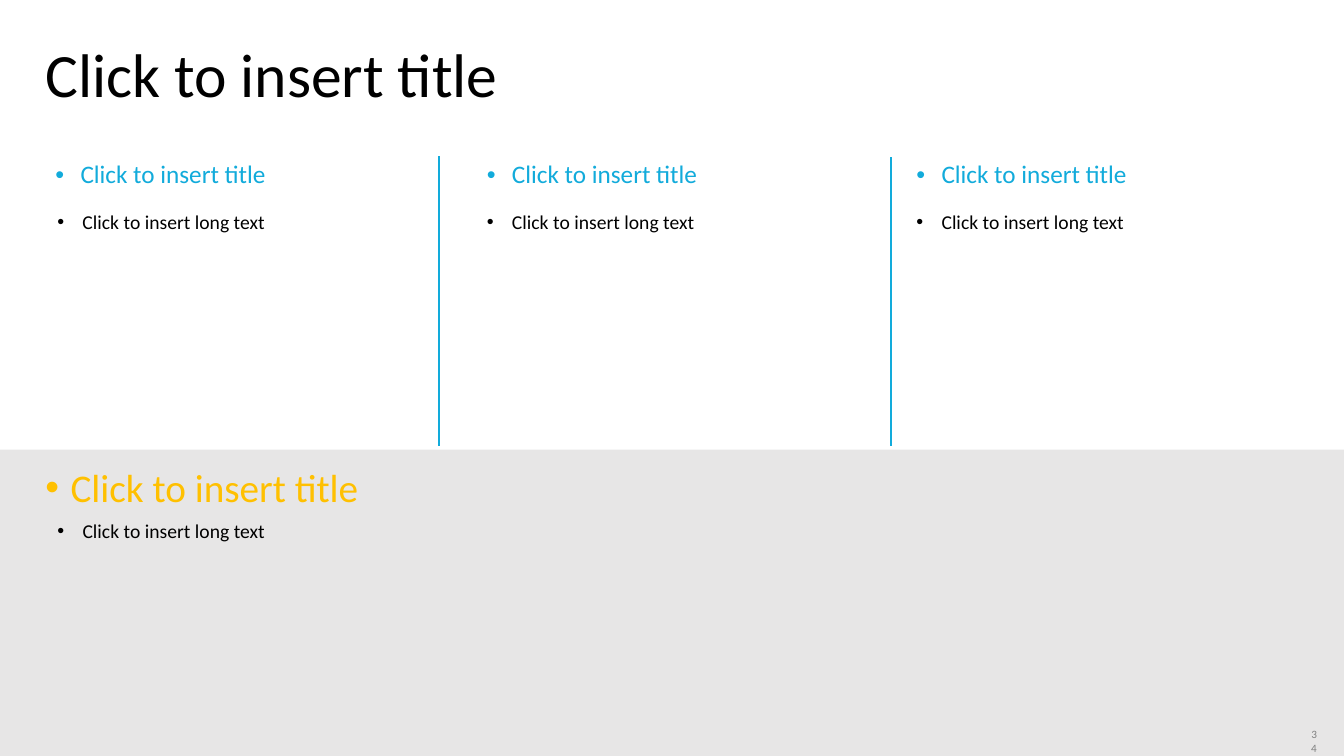
from dataclasses import dataclass

from lxml.etree import SubElement
from pptx import Presentation
from pptx.dml.color import RGBColor
from pptx.enum.shapes import MSO_CONNECTOR, MSO_SHAPE
from pptx.enum.text import MSO_ANCHOR, MSO_AUTO_SIZE, PP_ALIGN
from pptx.oxml.ns import qn
from pptx.slide import Slide
from pptx.text.text import TextFrame
from pptx.util import Inches, Pt

COLORS = {
    "black": "000000",
    "cyan": "12ABDB",
    "amber": "FFC000",
    "band": "E7E6E6",
    "number": "808080",
}
FONT = "Calibri"
HEADING = "Click to insert title"
BODY = "Click to insert long text"


@dataclass
class Bullet:
    text: str
    left: float
    top: float
    width: float
    height: float
    size: int
    color: str
    line_spacing: float | Pt
    flush: bool = False


@dataclass
class Divider:
    x: float
    top: float
    bottom: float = 4.42


def heading(left: float, width: float) -> Bullet:
    return Bullet(HEADING, left, 1.56, width, 0.45, 18, "cyan", 0.9)


def body(left: float, top: float, width: float, height: float) -> Bullet:
    return Bullet(BODY, left, top, width, height, 14, "black", Pt(16))


BULLETS = [
    heading(0.45, 3.92),
    heading(4.73, 3.9),
    heading(8.99, 3.9),
    *(body(left, 2.04, 3.9, 2.18) for left in (0.47, 4.73, 8.99)),
    Bullet(HEADING, 0.45, 4.63, 12.44, 0.45, 28, "amber", 0.9, flush=True),
    body(0.47, 5.11, 12.42, 1.97),
]
DIVIDERS = [Divider(4.35, 1.55), Divider(8.84, 1.56)]


def rgb(color: str) -> RGBColor:
    return RGBColor.from_string(COLORS[color])


def write(frame: TextFrame, text: str, size: int, color: str) -> None:
    frame.word_wrap = True
    frame.auto_size = MSO_AUTO_SIZE.NONE
    frame.text = text
    font = frame.paragraphs[0].runs[0].font
    font.name = FONT
    font.size = Pt(size)
    font.color.rgb = rgb(color)


def clear_margins(frame: TextFrame) -> None:
    frame.margin_left = frame.margin_right = 0
    frame.margin_top = frame.margin_bottom = 0


def add_band(slide: Slide) -> None:
    band = slide.shapes.add_shape(
        MSO_SHAPE.RECTANGLE, 0, Inches(4.46), Inches(13.33), Inches(3.04)
    )
    band.shadow.inherit = False
    band.fill.solid()
    band.fill.fore_color.rgb = rgb("band")
    band.line.fill.background()


def add_slide_number(slide: Slide) -> None:
    number = slide.shapes.add_textbox(
        Inches(12.89), Inches(7.17), Inches(0.27), Inches(0.24)
    )
    write(number.text_frame, "34", 8, "number")
    number.text_frame.paragraphs[0].alignment = PP_ALIGN.RIGHT


def format_title(slide: Slide) -> None:
    title = slide.shapes.title
    title.left, title.top = Inches(0.45), Inches(0.44)
    title.width, title.height = Inches(12.05), Inches(0.94)
    frame = title.text_frame
    write(frame, HEADING, 44, "black")
    clear_margins(frame)
    frame.vertical_anchor = MSO_ANCHOR.TOP
    frame.paragraphs[0].alignment = PP_ALIGN.LEFT
    frame.paragraphs[0].line_spacing = 0.9


def add_bullet(slide: Slide, bullet: Bullet) -> None:
    frame = slide.shapes.add_textbox(
        Inches(bullet.left),
        Inches(bullet.top),
        Inches(bullet.width),
        Inches(bullet.height),
    ).text_frame
    write(frame, bullet.text, bullet.size, bullet.color)
    if bullet.flush:
        clear_margins(frame)
        frame.vertical_anchor = MSO_ANCHOR.MIDDLE
    paragraph = frame.paragraphs[0]
    paragraph.line_spacing = bullet.line_spacing
    properties = paragraph._p.get_or_add_pPr()
    properties.set("marL", str(Inches(0.25)))
    properties.set("indent", str(-Inches(0.25)))
    SubElement(properties, qn("a:buFont"), typeface="Arial")
    SubElement(properties, qn("a:buChar"), char="•")


def add_divider(slide: Slide, divider: Divider) -> None:
    line = slide.shapes.add_connector(
        MSO_CONNECTOR.STRAIGHT,
        Inches(divider.x),
        Inches(divider.bottom),
        Inches(divider.x),
        Inches(divider.top),
    )
    line.line.color.rgb = rgb("cyan")
    line.line.width = Pt(1.5)
    SubElement(line._element.spPr, qn("a:effectLst"))


def main() -> None:
    deck = Presentation()
    deck.slide_width, deck.slide_height = Inches(13.33), Inches(7.5)
    slide = deck.slides.add_slide(deck.slide_layouts.get_by_name("Title Only"))
    add_band(slide)
    add_slide_number(slide)
    format_title(slide)
    for bullet in BULLETS:
        add_bullet(slide, bullet)
    for divider in DIVIDERS:
        add_divider(slide, divider)
    deck.save("out.pptx")


if __name__ == "__main__":
    main()
